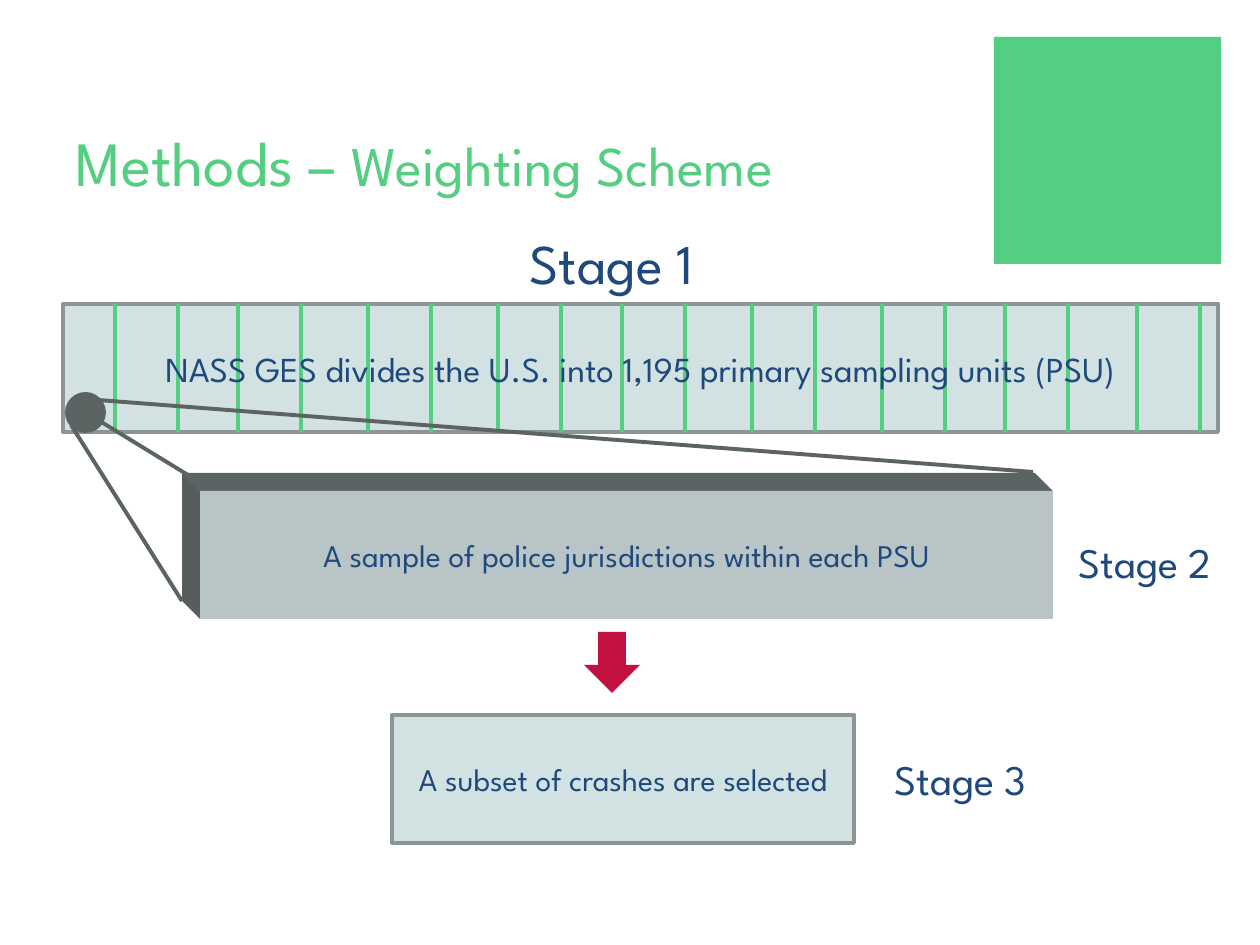
from lxml import etree
from pptx import Presentation
from pptx import util as u
from pptx.dml.color import RGBColor
from pptx.enum import shapes, text
from pptx.oxml.ns import qn

SCALE = 914400 / 126
FONT = "League Spartan"
GREEN, NAVY, RED = "54CE80", "1F497D", "C11242"
PALE, BORDER, SLATE = "D2E2E3", "8B9595", "5C6363"
FRONT, SIDE = "B8C4C6", "575D5D"
DIVIDER_PAIRS = [115, 238, 368, 498, 622, 752, 882, 1005, 1137]
PAIR_GAP = 63


def px(length):
    """Turn pixels into EMU."""
    return u.Emu(round(length * SCALE))


def colour(value):
    """Turn a hex string into a colour."""
    return RGBColor.from_string(value)


def paint(shape, fill, line=None):
    """Give a shape a flat fill and an optional border."""
    shape.shadow.inherit = False
    shape.fill.solid()
    shape.fill.fore_color.rgb = colour(fill)
    if line:
        shape.line.color.rgb = colour(line)
        shape.line.width = u.Pt(2.25)
    else:
        shape.line.fill.background()
    return shape


def add_shape(slide, kind, box, fill, line=None):
    """Add a preset shape in a pixel box."""
    return paint(slide.shapes.add_shape(kind, *map(px, box)), fill, line)


def add_polygon(slide, points, fill):
    """Add a closed outline through pixel points."""
    builder = slide.shapes.build_freeform(*points[0], scale=SCALE)
    builder.add_line_segments(points[1:])
    return paint(builder.convert_to_shape(), fill)


def add_line(slide, start, end, line, width):
    """Add a straight line between two pixel points."""
    connector = slide.shapes.add_connector(
        shapes.MSO_CONNECTOR.STRAIGHT, *map(px, start + end))
    connector.line.color.rgb = colour(line)
    connector.line.width = u.Pt(width)
    properties = connector._element.find(qn("p:spPr"))
    etree.SubElement(properties, qn("a:effectLst"))


def format_run(run, size, value):
    """Set the font, size and colour of a run."""
    run.font.name = FONT
    run.font.size = u.Pt(size)
    run.font.color.rgb = colour(value)


def write(shape, words, size, align=text.PP_ALIGN.CENTER, wrap=True):
    """Put one navy line of words into a shape."""
    frame = shape.text_frame
    frame.text = words
    frame.word_wrap = wrap
    paragraph = frame.paragraphs[0]
    paragraph.alignment = align
    format_run(paragraph.runs[0], size, NAVY)


def add_title(slide, box):
    """Add the slide title, set in two sizes."""
    frame = slide.shapes.add_textbox(*map(px, box)).text_frame
    frame.word_wrap = True
    frame.vertical_anchor = text.MSO_ANCHOR.BOTTOM
    for words, size in (("Methods – ", 36), ("Weighting Scheme", 32)):
        run = frame.paragraphs[0].add_run()
        run.text = words
        format_run(run, size, GREEN)


def add_stage_label(slide, box, words, size):
    """Add the name of a stage."""
    label = slide.shapes.add_textbox(*map(px, box))
    write(label, words, size, text.PP_ALIGN.LEFT, wrap=False)


def add_unit_strip(slide, box):
    """Add the strip of sampling units with its dividers and caption."""
    left, top, width, height = box
    add_shape(slide, shapes.MSO_SHAPE.RECTANGLE, box, PALE, BORDER)
    for first in DIVIDER_PAIRS:
        for x in (first, first + PAIR_GAP):
            add_line(slide, (x, top), (x, top + height), GREEN, 2)
    caption = slide.shapes.add_textbox(*map(px, (left, top + 37, width, 55)))
    write(caption, "NASS GES divides the U.S. into 1,195 primary sampling units (PSU)", 20)


def add_jurisdiction_block(slide, box, depth):
    """Add the raised block of police jurisdictions."""
    left, top, width, height = box
    right, bottom = left + width, top + height
    back_left, back_top = left - depth, top - depth
    add_polygon(slide, [(back_left, back_top), (right - depth, back_top),
                        (right, top), (left, top)], SLATE)
    add_polygon(slide, [(back_left, back_top), (left, top),
                        (left, bottom), (back_left, bottom - depth)], SIDE)
    front = add_shape(slide, shapes.MSO_SHAPE.RECTANGLE, box, FRONT)
    write(front, "A sample of police jurisdictions within each PSU", 18)


def add_zoom(slide, box, block, depth):
    """Add the dot on one unit and its lines to the block corners."""
    left, top, width, height = box
    block_left, block_top, block_width, block_height = block
    back_left, back_top = block_left - depth, block_top - depth
    back_right = block_left + block_width - depth
    back_bottom = block_top + block_height - depth
    add_line(slide, (left + 4, top + 31), (back_left, back_bottom), SLATE, 2.25)
    add_line(slide, (left + 31, top + 6), (back_right - 2, back_top - 1), SLATE, 2.25)
    add_shape(slide, shapes.MSO_SHAPE.OVAL, box, SLATE, SLATE)
    add_line(slide, (left + width // 2, top + height // 2),
             (back_left + 6, back_top + 2), SLATE, 2.25)


def add_crash_box(slide, box):
    """Add the box of selected crashes."""
    shape = add_shape(slide, shapes.MSO_SHAPE.RECTANGLE, box, PALE, BORDER)
    write(shape, "A subset of crashes are selected", 18)


def main():
    """Build the slide and save it."""
    presentation = Presentation()
    presentation.slide_width, presentation.slide_height = px(1260), px(945)
    slide = presentation.slides.add_slide(presentation.slide_layouts[6])
    block, depth = (200, 491, 853, 128), 18
    add_shape(slide, shapes.MSO_SHAPE.RECTANGLE, (994, 37, 227, 227), GREEN)
    add_title(slide, (63, 48, 897, 157))
    add_unit_strip(slide, (63, 304, 1155, 128))
    add_jurisdiction_block(slide, block, depth)
    add_zoom(slide, (67, 394, 37, 37), block, depth)
    add_shape(slide, shapes.MSO_SHAPE.DOWN_ARROW, (584, 632, 56, 61), RED)
    add_crash_box(slide, (392, 715, 462, 128))
    add_stage_label(slide, (517, 222, 233, 81), "Stage 1", 32)
    add_stage_label(slide, (1066, 530, 181, 63), "Stage 2", 24)
    add_stage_label(slide, (882, 747, 181, 63), "Stage 3", 24)
    presentation.save("out.pptx")


if __name__ == "__main__":
    main()
